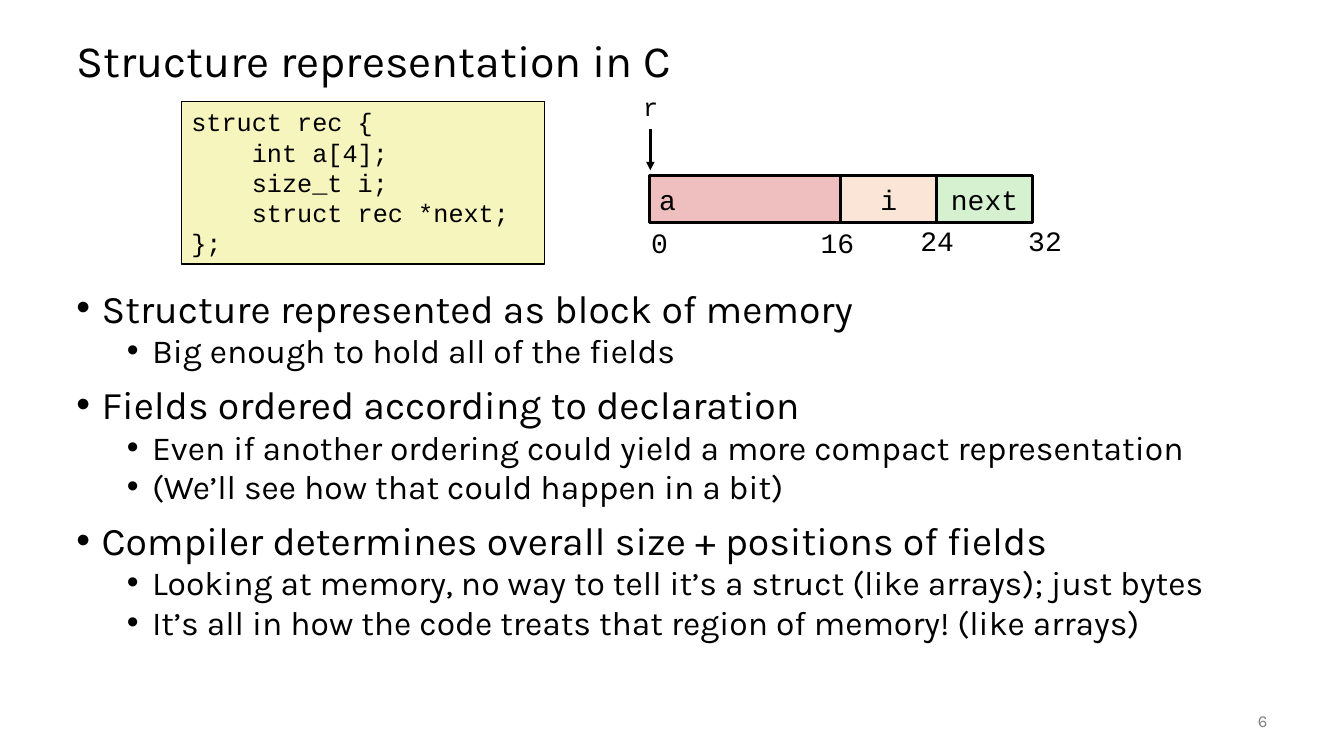
"""Build the slide on how C lays out a struct in memory."""
import pptx
import pptx.util
import pptx.dml.color
import pptx.enum.shapes
import pptx.enum.text
import pptx.oxml
import pptx.oxml.ns
import lxml.etree

Inches = pptx.util.Inches
Pt = pptx.util.Pt
ALIGN = pptx.enum.text.PP_ALIGN
MIDDLE = pptx.enum.text.MSO_ANCHOR.MIDDLE
CODE = "Courier New"
PROSE = "Karla"


def color(text):
    return pptx.dml.color.RGBColor.from_string(text)


def write(shape, lines, size, face, ink="000000", align=ALIGN.LEFT, **form):
    frame = shape.text_frame
    for key, value in ({"word_wrap": True} | form).items():
        setattr(frame, key, value)
    frame.text = "\n".join(lines)
    for para in frame.paragraphs:
        para.alignment = align
        for key, value in {"size": Pt(size), "name": face}.items():
            setattr(para.font, key, value)
        para.font.color.rgb = color(ink)


deck = pptx.Presentation()
deck.slide_width = Inches(13.33)
deck.slide_height = Inches(7.5)
shapes = deck.slides.add_slide(deck.slide_layouts[6]).shapes

title = shapes.add_textbox(Inches(0.66), Inches(0.25), Inches(12), Inches(0.75))
write(title, ["Structure representation in C"], 32, PROSE, vertical_anchor=MIDDLE)
title.text_frame.paragraphs[0].line_spacing = 0.9

points = [
    (0, "Structure represented as block of memory"),
    (1, "Big enough to hold all of the fields"),
    (0, "Fields ordered according to declaration"),
    (1, "Even if another ordering could yield a more compact representation"),
    (1, "(We’ll see how that could happen in a bit)"),
    (0, "Compiler determines overall size + positions of fields"),
    (1, "Looking at memory, no way to tell it’s a struct (like arrays); just bytes"),
    (1, "It’s all in how the code treats that region of memory! (like arrays)"),
]
levels = [
    {"size": 28, "indent": 0.25, "space": 14},
    {"size": 24, "indent": 0.75, "space": 5},
]
body = shapes.add_textbox(Inches(0.66), Inches(2.86), Inches(12), Inches(3.89))
body.text_frame.word_wrap = True
for index, (level, text) in enumerate(points):
    style = levels[level]
    para = body.text_frame.paragraphs[0] if index == 0 else body.text_frame.add_paragraph()
    para.text = text
    para.level = level
    para.line_spacing = 0.8
    para.space_before = Pt(style["space"] if index else 0)
    props = para._p.get_or_add_pPr()
    props.set("marL", str(Inches(style["indent"])))
    props.set("indent", str(-Inches(0.25)))
    for tag, name, value in [("a:buFont", "typeface", "Arial"), ("a:buChar", "char", "•")]:
        lxml.etree.SubElement(props, pptx.oxml.ns.qn(tag)).set(name, value)
    for key, value in {"size": Pt(style["size"]), "name": PROSE}.items():
        setattr(para.font, key, value)
    para.font.color.rgb = color("000000")

source = [
    "struct rec {",
    "    int a[4];",
    "    size_t i;",
    "    struct rec *next;",
    "};",
]
boxes = [
    (1.8, 1.01, 3.6, 1.61, "F6F5BD", 1, source, 18, ALIGN.LEFT, pptx.enum.text.MSO_ANCHOR.TOP),
    (6.44, 1.74, 1.9, 0.47, "EFBFBF", 2, ["a"], 20, ALIGN.LEFT, MIDDLE),
    (8.34, 1.74, 0.95, 0.47, "FBE5D6", 2, ["i"], 20, ALIGN.CENTER, MIDDLE),
    (9.29, 1.74, 0.95, 0.47, "D5F1CF", 2, ["next"], 20, ALIGN.CENTER, MIDDLE),
]
for left, top, width, height, fill, weight, lines, size, align, anchor in boxes:
    box = shapes.add_shape(
        pptx.enum.shapes.MSO_SHAPE.RECTANGLE,
        Inches(left), Inches(top), Inches(width), Inches(height))
    box.shadow.inherit = False
    box.fill.solid()
    box.fill.fore_color.rgb = color(fill)
    box.line.color.rgb = color("000000")
    box.line.width = Pt(weight)
    write(box, lines, size, CODE, align=align, vertical_anchor=anchor)

labels = [
    ("r", 6.28, 0.86, 0.35, 18),
    ("0", 6.36, 2.19, 0.36, 20),
    ("16", 8.04, 2.19, 0.54, 20),
    ("24", 9.03, 2.17, 0.54, 20),
    ("32", 10.1, 2.17, 0.54, 20),
]
for text, left, top, width, size in labels:
    label = shapes.add_textbox(Inches(left), Inches(top), Inches(width), Inches(0.43))
    write(label, [text], size, CODE, word_wrap=False)

arrow = shapes.add_connector(
    pptx.enum.shapes.MSO_CONNECTOR.STRAIGHT,
    Inches(6.45), Inches(1.28), Inches(6.45), Inches(1.69))
arrow.line.color.rgb = color("000000")
arrow.line.width = Pt(2)
stroke = arrow.line._get_or_add_ln()
lxml.etree.SubElement(stroke, pptx.oxml.ns.qn("a:tailEnd")).set("type", "triangle")
lxml.etree.SubElement(arrow._element.spPr, pptx.oxml.ns.qn("a:effectLst"))

number = shapes.add_textbox(Inches(11.67), Inches(6.95), Inches(1), Inches(0.4))
write(number, ["6"], 12, PROSE, "808080", ALIGN.RIGHT, vertical_anchor=MIDDLE)

deck.save("out.pptx")
